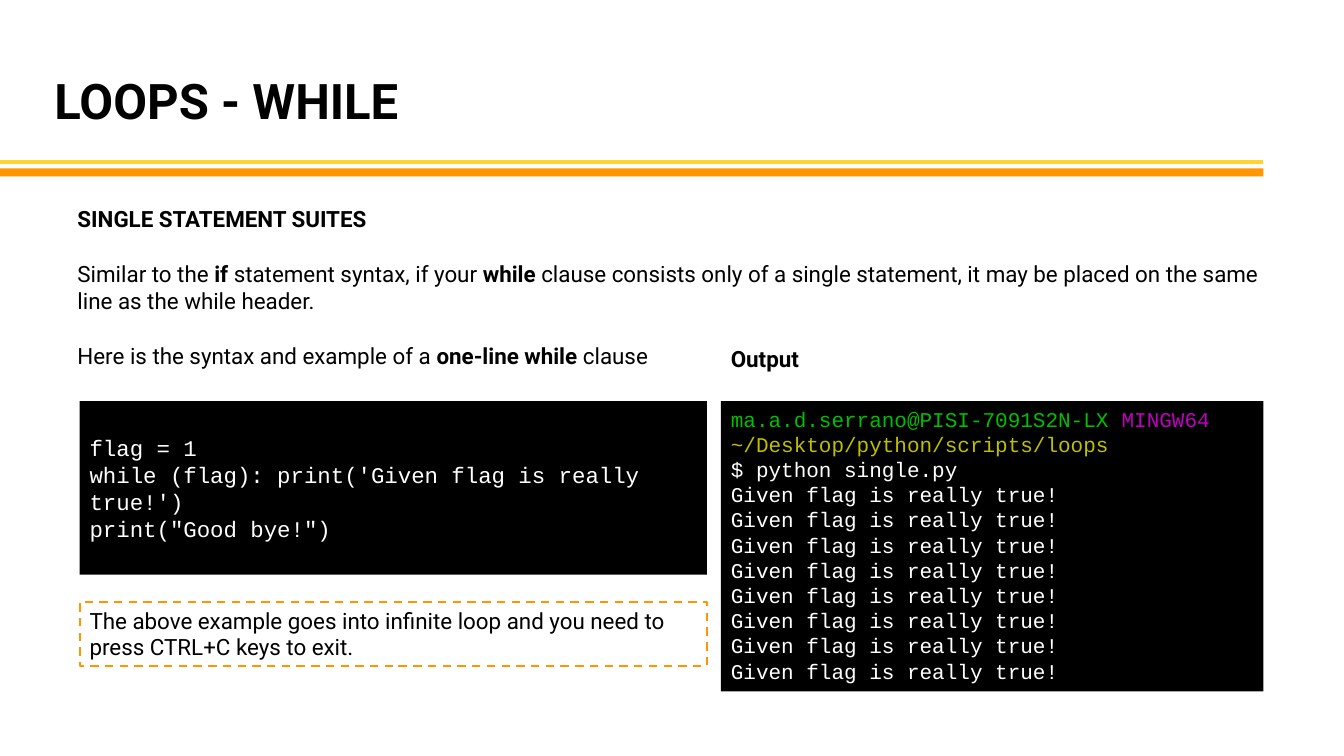
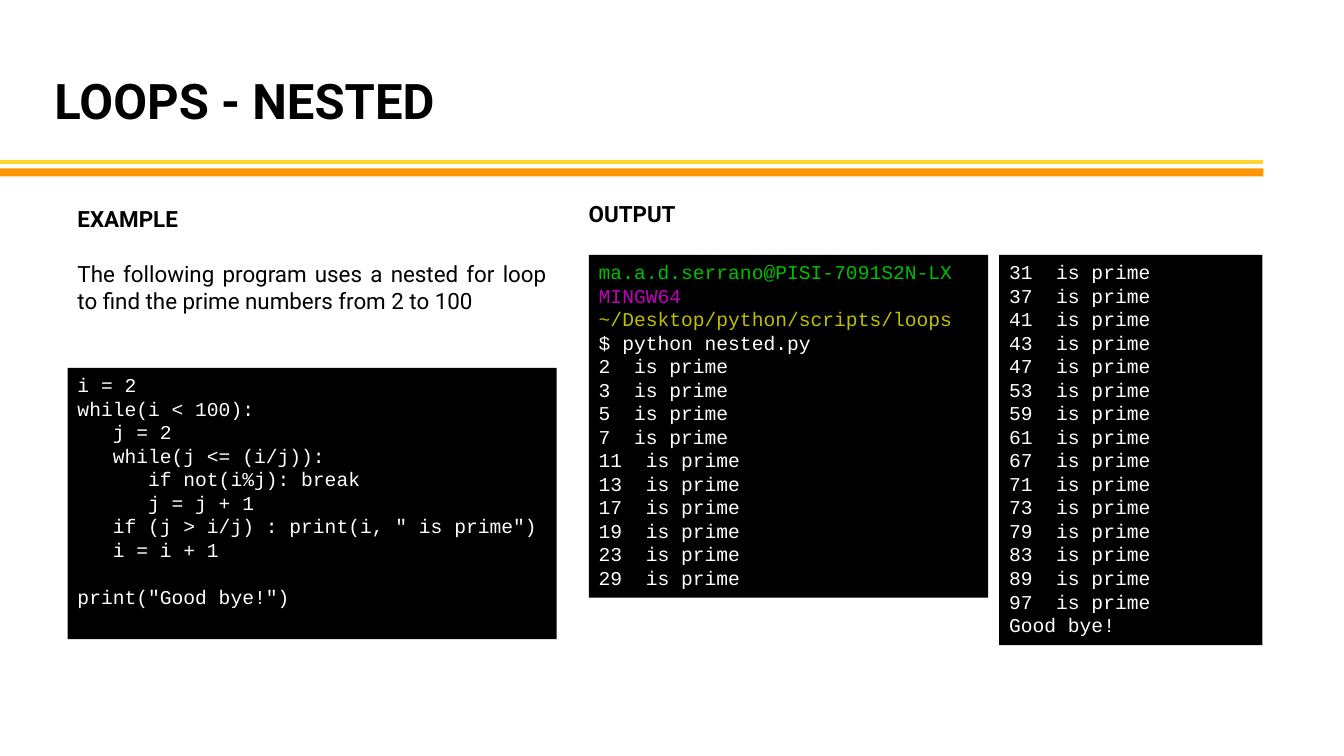
from lxml.etree import SubElement
from pptx import Presentation
from pptx.dml.color import RGBColor
from pptx.enum.dml import MSO_LINE
from pptx.enum.shapes import MSO_CONNECTOR, MSO_SHAPE
from pptx.enum.text import MSO_ANCHOR, PP_ALIGN
from pptx.oxml.ns import qn
from pptx.util import Inches, Pt

BLACK = RGBColor(0x00, 0x00, 0x00)
WHITE = RGBColor(0xFF, 0xFF, 0xFF)
YELLOW = RGBColor(0xFF, 0xD4, 0x2E)
ORANGE = RGBColor(0xFF, 0x95, 0x00)
USER_GREEN = RGBColor(0x00, 0xBF, 0x00)
SYSTEM_PURPLE = RGBColor(0xBF, 0x00, 0xBF)
FOLDER_OLIVE = RGBColor(0xBF, 0xBF, 0x00)

PROSE_FONT, CODE_FONT = "Roboto", "Courier New"
RULE_END = 12.53
PROMPT = [
    ("ma.a.d.serrano@PISI-7091S2N-LX ", USER_GREEN),
    ("MINGW64 ", SYSTEM_PURPLE),
    ("~/Desktop/python/scripts/loops", FOLDER_OLIVE),
]


def add_prose(slide, left, top, width, height, *paragraphs, align=PP_ALIGN.LEFT):
    """Add spaced paragraphs in which **stars** enclose bold words."""
    prose = slide.shapes.add_textbox(*map(Inches, (left, top, width, height)))
    frame = prose.text_frame
    frame.word_wrap = True
    for number, text in enumerate(paragraphs):
        paragraph = frame.add_paragraph() if number else frame.paragraphs[0]
        paragraph.alignment = align
        paragraph.space_before = Pt(19.8 if number else 0)
        paragraph.font.name = PROSE_FONT
        paragraph.font.size = Pt(16)
        paragraph.font.color.rgb = BLACK
        for part_number, part in enumerate(text.split("**")):
            if part:
                run = paragraph.add_run()
                run.text = part
                run.font.bold = part_number % 2 == 1
    return prose


def add_console(slide, left, top, width, height, lines, size):
    """Add a black panel of code; a line is a string or (text, colour) pairs."""
    console = slide.shapes.add_shape(
        MSO_SHAPE.RECTANGLE, *map(Inches, (left, top, width, height)))
    console.shadow.inherit = False
    console.fill.solid()
    console.fill.fore_color.rgb = BLACK
    console.line.fill.background()
    frame = console.text_frame
    frame.word_wrap = True
    frame.vertical_anchor = MSO_ANCHOR.TOP
    for number, line in enumerate(lines):
        paragraph = frame.add_paragraph() if number else frame.paragraphs[0]
        paragraph.alignment = PP_ALIGN.LEFT
        paragraph.font.name = CODE_FONT
        paragraph.font.size = Pt(size)
        for text, colour in [(line, WHITE)] if isinstance(line, str) else line:
            run = paragraph.add_run()
            run.text = text
            run.font.color.rgb = colour
    return frame


deck = Presentation()
deck.slide_width, deck.slide_height = Inches(13.33), Inches(7.5)

# Title and double rule shared by both slides
slides = []
for heading in ("LOOPS - WHILE", "LOOPS - NESTED"):
    slide = deck.slides.add_slide(deck.slide_layouts[5])
    slides.append(slide)

    thin_rule = slide.shapes.add_connector(
        MSO_CONNECTOR.STRAIGHT, 0, Inches(1.61), Inches(RULE_END), Inches(1.61))
    thin_rule.line.color.rgb = YELLOW
    thin_rule.line.width = Pt(3)
    SubElement(thin_rule._element.spPr, qn("a:effectLst"))

    thick_rule = slide.shapes.add_shape(
        MSO_SHAPE.RECTANGLE, 0, Inches(1.67), Inches(RULE_END), Inches(0.08))
    thick_rule.shadow.inherit = False
    thick_rule.fill.solid()
    thick_rule.fill.fore_color.rgb = ORANGE
    thick_rule.line.fill.background()

    title = slide.shapes.title
    title.left, title.top = Inches(0.54), Inches(0.7)
    title.width, title.height = Inches(7.87), Inches(0.64)
    frame = title.text_frame
    frame.text = heading
    frame.margin_left = frame.margin_top = frame.margin_right = 0
    frame.vertical_anchor = MSO_ANCHOR.TOP
    paragraph = frame.paragraphs[0]
    paragraph.alignment = PP_ALIGN.LEFT
    paragraph.font.name = PROSE_FONT
    paragraph.font.size = Pt(35)
    paragraph.font.bold = True
    paragraph.font.color.rgb = BLACK

while_slide, nested_slide = slides

# One-line while loop
add_prose(
    while_slide, 0.67, 1.99, 11.99, 1.99,
    "**SINGLE STATEMENT SUITES**",
    "Similar to the **if** statement syntax, if your **while** clause consists only of "
    "a single statement, it may be placed on the same line as the while header.",
    "Here is the syntax and example of a **one-line while** clause")
while_code = add_console(while_slide, 0.79, 3.98, 6.22, 1.72, [
    "flag = 1",
    "while (flag): print('Given flag is really true!')",
    'print("Good bye!")',
], 16)
while_code.vertical_anchor = MSO_ANCHOR.MIDDLE
add_console(while_slide, 7.15, 3.98, 5.38, 2.88,
            [PROMPT, "$ python single.py"] + ["Given flag is really true!"] * 8, 15)
add_prose(while_slide, 7.15, 3.37, 1, 0.37, "**Output**").text_frame.word_wrap = False
exit_hint = add_prose(
    while_slide, 0.79, 5.97, 6.22, 0.64,
    "The above example goes into infinite loop and you need to press CTRL+C keys to exit.")
exit_hint.line.color.rgb = ORANGE
exit_hint.line.width = Pt(1.5)
exit_hint.line.dash_style = MSO_LINE.DASH

# Prime numbers from nested loops
add_prose(
    nested_slide, 0.67, 1.99, 4.85, 1.45,
    "**EXAMPLE**",
    "The following program uses a nested for loop to find the prime numbers from 2 to 100",
    align=PP_ALIGN.JUSTIFY)
nested_code = add_console(nested_slide, 0.67, 3.65, 4.85, 2.69, [
    "i = 2",
    "while(i < 100):",
    "   j = 2",
    "   while(j <= (i/j)):",
    "      if not(i%j): break",
    "      j = j + 1",
    '   if (j > i/j) : print(i, " is prime")',
    "   i = i + 1",
    'print("Good bye!")',
], 14)
nested_code.paragraphs[-1].space_before = Pt(16.8)

prime_lines = [f"{n}  is prime" for n in range(2, 100) if all(n % d for d in range(2, n))]
add_console(nested_slide, 5.84, 2.53, 3.96, 3.4,
            [PROMPT, "$ python nested.py"] + prime_lines[:10], 14)
add_console(nested_slide, 9.91, 2.53, 2.61, 3.87, prime_lines[10:] + ["Good bye!"], 14)
add_prose(nested_slide, 5.74, 1.94, 2.85, 0.37, "**OUTPUT**")

deck.save("out.pptx")
